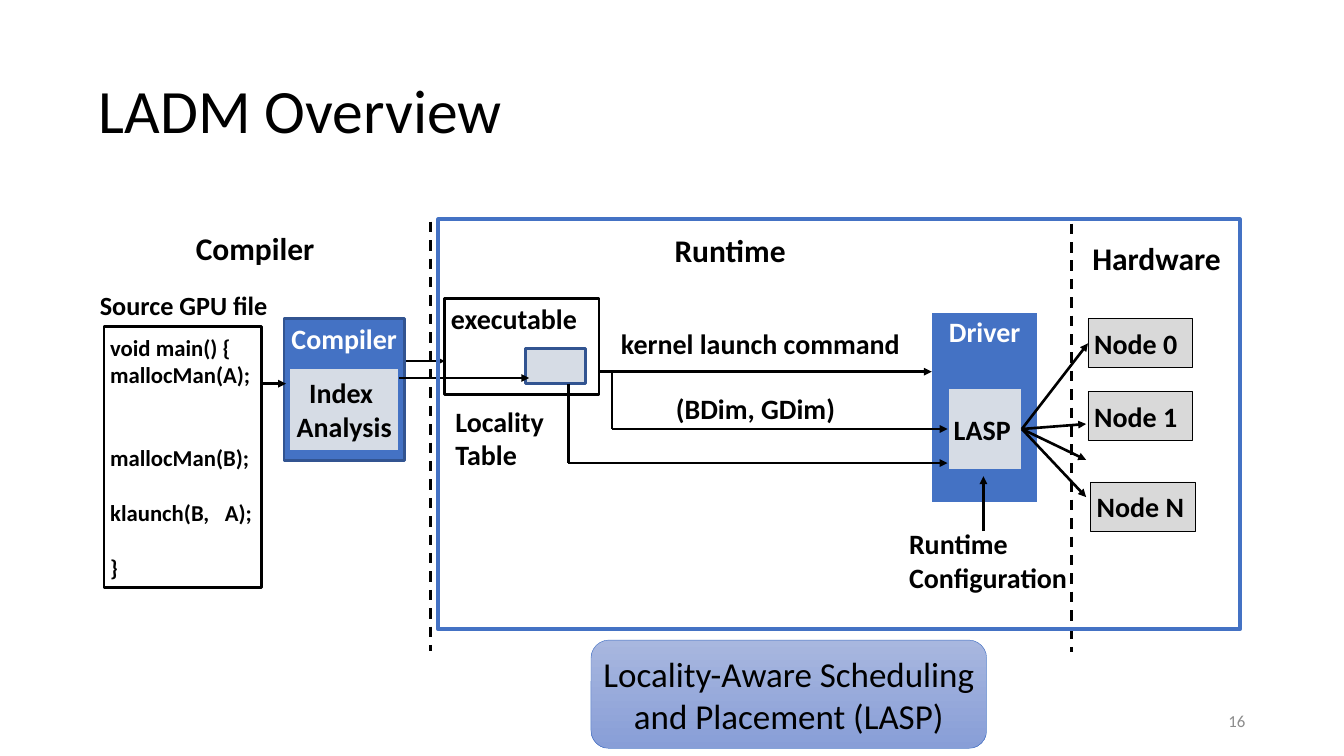
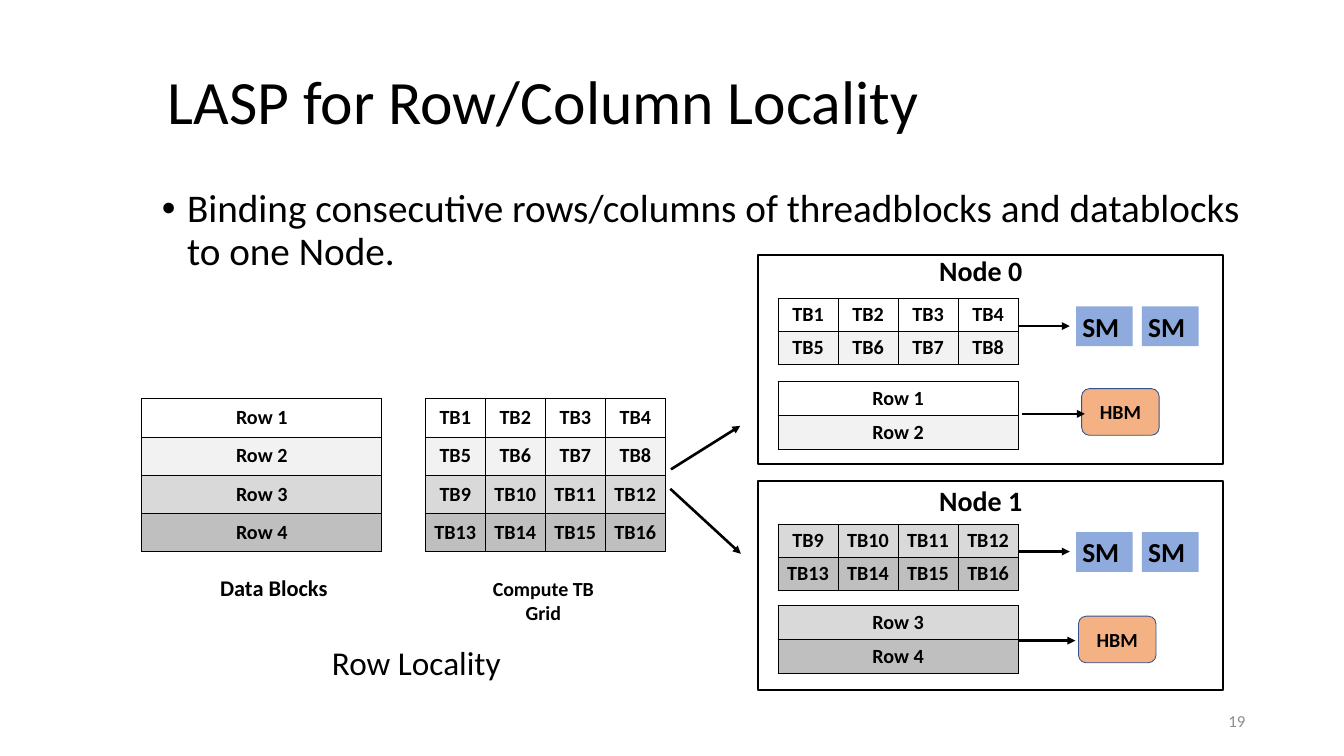
import dataclasses
import typing

import lxml.etree
import pptx
import pptx.dml.color
import pptx.enum.dml
import pptx.enum.shapes
import pptx.enum.text
import pptx.oxml.ns
import pptx.slide
import pptx.util

Pt = pptx.util.Pt
qn = pptx.oxml.ns.qn
Align = pptx.enum.text.PP_ALIGN
Anchor = pptx.enum.text.MSO_ANCHOR
Fit = pptx.enum.text.MSO_AUTO_SIZE
Preset = pptx.enum.shapes.MSO_SHAPE

COLOURS = {
    "black": "000000", "white": "FFFFFF", "page number": "8C8C8C",
    "blue": "4472C4", "dark blue": "325491", "pale blue": "D6DCE5",
    "sm blue": "8FAADC", "hbm orange": "F4B183", "node grey": "D9D9D9",
    "callout top": "A8B7DF", "callout bottom": "889ED7",
    "row 1": "FFFFFF", "row 2": "F2F2F2", "row 3": "D9D9D9", "row 4": "BFBFBF",
}
FONT = "Calibri"
LINE_HEIGHT = 1.22
GRID_WIDTH = 274.4
NODE_LEFT = 866.2


class Area(typing.NamedTuple):
    left: float
    top: float
    width: float
    height: float


class Joint(typing.NamedTuple):
    """A side of the box that shows this text."""
    text: str
    side: int


@dataclasses.dataclass
class Box:
    area: Area
    text: str = ""
    size: float = 32
    bold: bool = True
    colour: str = "black"
    align: Align = Align.LEFT
    anchor: Anchor = Anchor.TOP
    grow: bool = False
    wrap: bool = True
    inset: tuple[float, float] = (7.2, 3.6)
    fill: str | tuple[str, str] | None = None
    line: str | None = None
    weight: float = 3
    preset: Preset = Preset.RECTANGLE


@dataclasses.dataclass
class Link:
    start: tuple[float, float]
    end: tuple[float, float]
    arrow: bool = True
    dashed: bool = False
    begin_joint: Joint | None = None
    end_joint: Joint | None = None


@dataclasses.dataclass
class Grid:
    """Rows first to last of the data blocks (1 column) or the threadblocks (4)."""
    left: float
    top: float
    row_height: float
    first: int
    last: int
    columns: int


class NodePanel(typing.NamedTuple):
    number: int
    top: float
    name_top: float
    rows_top: float
    hbm_left: float
    hbm_top: float
    hbm_arrow: tuple[float, float, float]


Item = Box | Link | Grid


def rgb(name: str) -> pptx.dml.color.RGBColor:
    return pptx.dml.color.RGBColor.from_string(COLOURS[name])


def apply(target: typing.Any, values: dict[str, typing.Any]) -> None:
    for name, value in values.items():
        setattr(target, name, value)


def place(shape: typing.Any, area: Area) -> None:
    apply(shape, {name: Pt(value) for name, value in area._asdict().items()})


def style_font(font: typing.Any, size: float, bold: bool, colour: str) -> None:
    apply(font, {"name": FONT, "size": Pt(size), "bold": bold})
    font.color.rgb = rgb(colour)


def write_text(frame: typing.Any, box: Box) -> None:
    """Write one paragraph a line; blank lines become space before the next."""
    across, down = (Pt(value) for value in box.inset)
    apply(frame, {
        "word_wrap": box.wrap, "vertical_anchor": box.anchor,
        "auto_size": Fit.SHAPE_TO_FIT_TEXT if box.grow else Fit.NONE,
        "margin_left": across, "margin_right": across,
        "margin_top": down, "margin_bottom": down,
    })
    blanks = 0
    for number, words in enumerate(box.text.split("\n")):
        if not words:
            blanks += 1
            continue
        para = frame.add_paragraph() if number else frame.paragraphs[0]
        para.alignment = box.align
        if blanks:
            para.space_before = Pt(round(blanks * box.size * LINE_HEIGHT, 1))
        blanks = 0
        span = para.add_run()
        span.text = words
        style_font(span.font, box.size, box.bold, box.colour)


def paint(shape: typing.Any, box: Box) -> None:
    shape.shadow.inherit = False
    if isinstance(box.fill, tuple):
        shape.fill.gradient()
        shape.fill.gradient_angle = 270
        for stop, name in zip(shape.fill.gradient_stops, box.fill):
            stop.color.rgb = rgb(name)
    elif box.fill:
        shape.fill.solid()
        shape.fill.fore_color.rgb = rgb(box.fill)
    else:
        shape.fill.background()
    if box.line:
        shape.line.color.rgb = rgb(box.line)
        shape.line.width = Pt(box.weight)
    else:
        shape.line.fill.background()


def draw_box(page: pptx.slide.Slide, box: Box) -> typing.Any:
    lengths = [Pt(value) for value in box.area]
    if box.fill or box.line:
        shape = page.shapes.add_shape(box.preset, *lengths)
        paint(shape, box)
    else:
        shape = page.shapes.add_textbox(*lengths)
    if box.text:
        write_text(shape.text_frame, box)
    return shape


def draw_link(page: pptx.slide.Slide, link: Link, drawn: dict[str, typing.Any]) -> None:
    connector = page.shapes.add_connector(
        pptx.enum.shapes.MSO_CONNECTOR.STRAIGHT,
        *(Pt(value) for value in link.start + link.end))
    if link.begin_joint:
        connector.begin_connect(drawn[link.begin_joint.text], link.begin_joint.side)
    if link.end_joint:
        connector.end_connect(drawn[link.end_joint.text], link.end_joint.side)
    connector.line.color.rgb = rgb("black")
    connector.line.width = Pt(3)
    if link.dashed:
        connector.line.dash_style = pptx.enum.dml.MSO_LINE.DASH
    properties = connector._element.spPr
    if link.arrow:
        lxml.etree.SubElement(properties.find(qn("a:ln")), qn("a:tailEnd"), type="triangle")
    lxml.etree.SubElement(properties, qn("a:effectLst"))


def add_borders(cell: typing.Any) -> None:
    properties = cell._tc.get_or_add_tcPr()
    for side in ("lnL", "lnR", "lnT", "lnB"):
        line = lxml.etree.SubElement(properties, qn(f"a:{side}"), w=str(Pt(1)))
        fill = lxml.etree.SubElement(line, qn("a:solidFill"))
        lxml.etree.SubElement(fill, qn("a:srgbClr"), val=COLOURS["black"])


def draw_grid(page: pptx.slide.Slide, grid: Grid) -> None:
    count = grid.last - grid.first + 1
    table = page.shapes.add_table(
        count, grid.columns, Pt(grid.left), Pt(grid.top),
        Pt(GRID_WIDTH), Pt(count * grid.row_height)).table
    for column in table.columns:
        column.width = Pt(GRID_WIDTH / grid.columns)
    for index, number in enumerate(range(grid.first, grid.last + 1)):
        table.rows[index].height = Pt(grid.row_height)
        for column in range(grid.columns):
            cell = table.cell(index, column)
            add_borders(cell)
            cell.fill.solid()
            cell.fill.fore_color.rgb = rgb(f"row {number}")
            apply(cell, {"vertical_anchor": Anchor.MIDDLE,
                         "margin_left": Pt(10), "margin_right": Pt(10),
                         "margin_top": Pt(4.8), "margin_bottom": Pt(4.8)})
            block = (number - 1) * grid.columns + column + 1
            para = cell.text_frame.paragraphs[0]
            para.alignment = Align.CENTER
            span = para.add_run()
            span.text = f"Row {number}" if grid.columns == 1 else f"TB{block}"
            style_font(span.font, 23, True, "black")


def draw_items(page: pptx.slide.Slide, items: list[Item]) -> None:
    drawn: dict[str, typing.Any] = {}
    for item in items:
        if isinstance(item, Box):
            drawn[item.text] = draw_box(page, item)
        elif isinstance(item, Link):
            draw_link(page, item, drawn)
        else:
            draw_grid(page, item)


def start_page(deck: typing.Any, layout: int, title: str, area: Area,
               number: int) -> pptx.slide.Slide:
    page = deck.slides.add_slide(deck.slide_layouts[layout])
    place(page.shapes.title, area)
    write_text(page.shapes.title.text_frame,
               Box(area, title, 70.4, bold=False, anchor=Anchor.MIDDLE))
    page.shapes.title.text_frame.paragraphs[0].line_spacing = 0.9
    draw_box(page, Box(Area(1085, 801, 345.6, 46), str(number), 19.2, False,
                       "page number", Align.RIGHT, Anchor.MIDDLE))
    return page


def heading(area: Area, text: str, align: Align = Align.CENTER) -> Box:
    return Box(area, text, 36, align=align, grow=True)


def hardware_node(left: float, top: float, text: str) -> Box:
    return Box(Area(left, top, 119.6, 56.2), text, align=Align.JUSTIFY,
               anchor=Anchor.MIDDLE, fill="node grey", line="black", weight=1)


def overview_items() -> list[Item]:
    code = ("void main() {\nmallocMan(A);\n\n\nmallocMan(B);\n\n"
            "klaunch(B,   A);\n\n}")
    left, middle, right = 1082.9, 490.3, 1167.9
    lasp_left, lasp_right = Joint("LASP", 1), Joint("LASP", 3)
    label = {"align": Align.JUSTIFY, "grow": True}
    return [
        hardware_node(1243.4, 364.3, "Node 0"),
        Link((491.8, 253.4), (491.8, 743.8), arrow=False, dashed=True),
        heading(Area(104.4, 257.8, 374.4, 51), "Compiler"),
        heading(Area(476.6, 260.6, 715.7, 51), "Runtime"),
        heading(Area(1241.3, 270, 175.7, 51), "Hardware", Align.JUSTIFY),
        Box(Area(1064.2, 355.7, 122.4, 219.6), "Driver", colour="white",
            align=Align.CENTER, fill="blue", line="white"),
        Box(Area(left, 443.5, 85, 93.6), "LASP", align=Align.JUSTIFY,
            anchor=Anchor.MIDDLE, fill="pale blue", line="blue"),
        Link((right, middle), (1243.4, 392.4), begin_joint=lasp_right,
             end_joint=Joint("Node 0", 1)),
        *(Link((right, middle), (1241.3, y), begin_joint=lasp_right)
          for y in (484.6, 525.6, 568.1)),
        Link((462.2, 412.6), (508.3, 412.6)),
        Box(Area(508.3, 341.3, 176.4, 109.4), "executable", align=Align.JUSTIFY,
            fill="white", line="black"),
        Link((1123.9, 607), (1123.9, 544.3)),
        Box(Area(1031.8, 598.3, 197.3, 85), "Runtime\nConfiguration", wrap=False, **label),
        Box(Area(513.4, 458.6, 124.6, 85), "Locality\nTable", wrap=False, **label),
        Link((686.2, 424.8), (1064.9, 424.8)),
        Box(Area(702.5, 370, 352, 46), "kernel launch command", **label),
        Link((699.5, 424.8), (699.5, middle), arrow=False),
        Link((699.5, middle), (left, middle), end_joint=lasp_left),
        Box(Area(765.4, 443.5, 242.6, 46), "(BDim, GDim)", **label),
        Box(Area(600.5, 398.2, 68.4, 40.3), fill="pale blue", line="dark blue"),
        Box(Area(118.8, 373, 180, 298.8), code, 26, anchor=Anchor.MIDDLE,
            fill="white", line="black"),
        Box(Area(324.7, 364.3, 137.5, 162), "Compiler", colour="white",
            align=Align.CENTER, fill="blue", line="dark blue"),
        Link((298.8, 438.5), (326.9, 438.5)),
        Box(Area(97.2, 327.6, 225.4, 44), "Source GPU file", 30,
            align=Align.CENTER, grow=True, wrap=False),
        Link((649.4, 438.5), (649.4, 529.2), arrow=False),
        Link((649.4, 529.2), (left, 529.2)),
        Link((1224.7, 255.6), (1224.7, 745.2), arrow=False, dashed=True),
        hardware_node(1243.4, 447.1, "Node 1"),
        hardware_node(1246.3, 550.8, "Node N"),
        Box(Area(330.5, 419.8, 126, 95.8), "Index \nAnalysis", align=Align.CENTER,
            anchor=Anchor.MIDDLE, fill="pale blue", line="blue"),
        Link((456.5, 432), (604.8, 432)),
        Box(Area(501.1, 250.6, 915.8, 468.7), line="blue", weight=4.5),
        Box(Area(675.4, 731.5, 452.2, 123.8),
            "Locality-Aware Scheduling and Placement (LASP)", 40, False,
            align=Align.CENTER, anchor=Anchor.MIDDLE, line="blue", weight=0.5,
            fill=("callout top", "callout bottom"), preset=Preset.ROUNDED_RECTANGLE),
    ]


def panel_items(panel: NodePanel) -> list[Item]:
    first = 2 * panel.number + 1
    grid_left = NODE_LEFT + 23
    start, end, arrow_top = panel.hbm_arrow
    return [
        Box(Area(NODE_LEFT, panel.top, 531.4, 239), fill="white", line="black", weight=2.25),
        Grid(grid_left, panel.top + 49.4, 37.8, first, first + 1, 4),
        Grid(grid_left, panel.rows_top, 38.9, first, first + 1, 1),
        Box(Area(1066.3, panel.name_top, 110.9, 46), f"Node {panel.number}",
            grow=True, wrap=False),
        *(Box(Area(left, panel.top + 58.7, 64.8, 45.4), "SM", 31.4, grow=True,
              fill="sm blue") for left in (1229.8, 1305)),
        Box(Area(panel.hbm_left, panel.hbm_top, 88.6, 53.3), "HBM", 22.8,
            align=Align.CENTER, anchor=Anchor.MIDDLE, inset=(16.6, 8),
            fill="hbm orange", line="dark blue", weight=1,
            preset=Preset.ROUNDED_RECTANGLE),
        Link((1163.5, panel.top + 81), (1222.6, panel.top + 81)),
        Link((start, arrow_top), (end, arrow_top)),
    ]


def locality_items() -> list[Item]:
    caption = {"align": Align.CENTER, "grow": True}
    panels = [
        NodePanel(0, 291.6, 285.8, 436.3, 1236.2, 444.2, (1167.8, 1239.8, 473)),
        NodePanel(1, 549.4, 549.4, 691.9, 1232.6, 704.2, (1165, 1229, 732.2)),
    ]
    return [
        Box(Area(533.5, 655.9, 175, 62.6), "Compute TB Grid", 22.8, **caption),
        Grid(486, 455.8, 43.6, 1, 4, 4),
        Grid(162, 455.8, 43.6, 1, 4, 1),
        Box(Area(225.4, 652.3, 175, 38.2), "Data Blocks", 25.6, **caption),
        *(item for panel in panels for item in panel_items(panel)),
        Link((766.8, 536.4), (846, 486.7)),
        Link((766.1, 558.7), (846.7, 632.9)),
        Box(Area(372.2, 730.8, 209.5, 53.3), "Row Locality", 38, False,
            grow=True, wrap=False),
    ]


def fill_body(page: pptx.slide.Slide, area: Area, text: str) -> None:
    body = page.placeholders[1]
    place(body, area)
    write_text(body.text_frame, Box(area, text, 44.8, bold=False))
    para = body.text_frame.paragraphs[0]
    apply(para, {"line_spacing": 0.9, "space_before": Pt(0)})
    properties = para._p.get_or_add_pPr()
    properties.set("marL", str(Pt(28.8)))
    properties.set("indent", str(Pt(-28.8)))
    lxml.etree.SubElement(properties, qn("a:buChar"), char="•")


def main() -> None:
    deck = pptx.Presentation()
    apply(deck, {"slide_width": Pt(1536), "slide_height": Pt(864)})
    overview = start_page(deck, 5, "LADM Overview", Area(105.8, 46, 1324.8, 167), 16)
    draw_items(overview, overview_items())
    locality = start_page(deck, 1, "LASP for Row/Column Locality",
                          Area(184.3, 36, 1180, 167), 19)
    fill_body(locality, Area(177.8, 212.4, 1260.7, 620),
              "Binding consecutive rows/columns of threadblocks and datablocks to one Node.")
    draw_items(locality, locality_items())
    deck.save("out.pptx")


if __name__ == "__main__":
    main()
